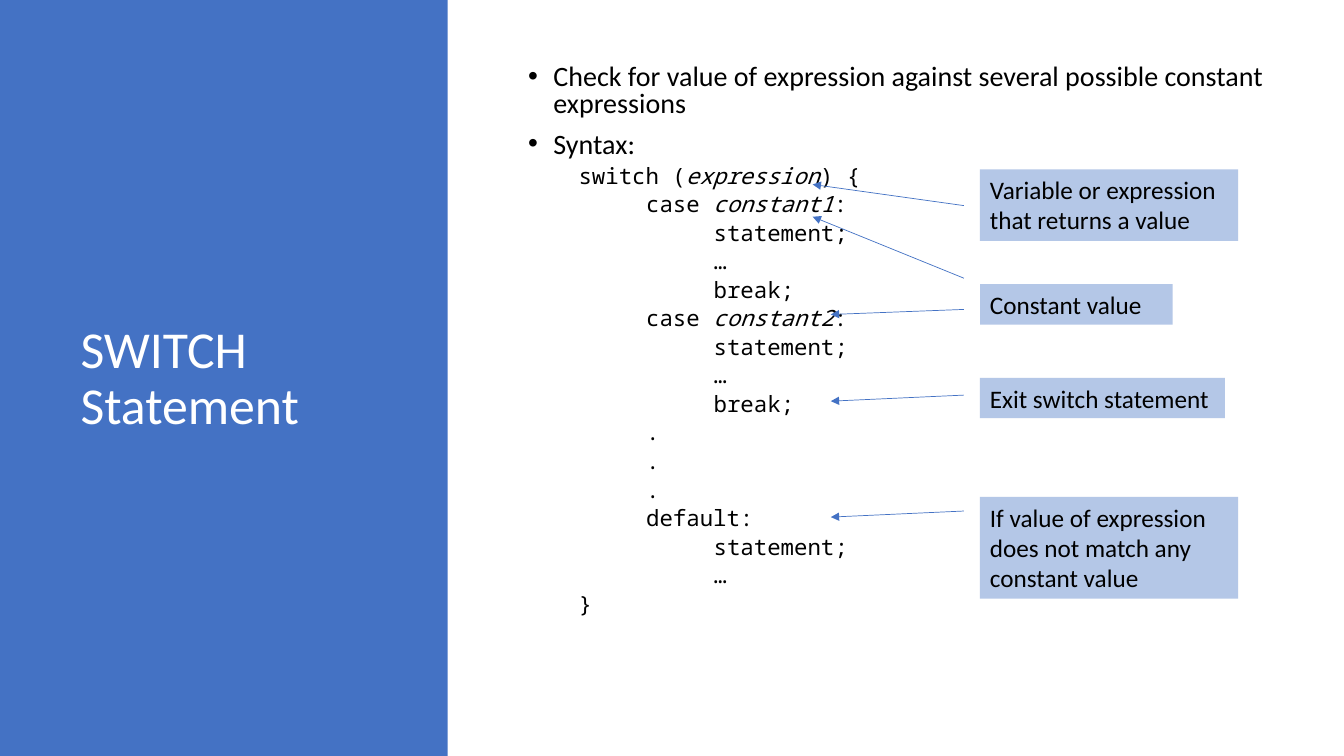
from pptx import Presentation
from pptx.dml.color import RGBColor
from pptx.enum.shapes import MSO_CONNECTOR, MSO_SHAPE
from pptx.enum.text import MSO_ANCHOR, PP_ALIGN
from pptx.oxml.ns import qn
from pptx.util import Inches, Pt
from lxml import etree

RECT = MSO_SHAPE.RECTANGLE
STRAIGHT = MSO_CONNECTOR.STRAIGHT
TOP, MIDDLE = MSO_ANCHOR.TOP, MSO_ANCHOR.MIDDLE
LEFT = PP_ALIGN.LEFT

BLUE = RGBColor(0x44, 0x72, 0xC4)
PALE_BLUE = RGBColor(0xB4, 0xC7, 0xE7)
BLACK = RGBColor(0, 0, 0)
WHITE = RGBColor(0xFF, 0xFF, 0xFF)


class SlideBuilder:
    body_font = "Calibri"
    code_font = "Noto Sans Mono"
    code_margin = 0.5
    code_indent = 0.67

    def __init__(self, slide):
        self.s = slide

    def run(self, p, text, size, color=BLACK, font=body_font, italic=False):
        r = p.add_run()
        r.text = text
        r.font.name = font
        r.font.size = Pt(size)
        r.font.color.rgb = color
        r.font.italic = italic

    def rect(self, x, y, w, h, fill):
        sp = self.s.shapes.add_shape(RECT, Inches(x), Inches(y), Inches(w), Inches(h))
        sp.shadow.inherit = False
        sp.fill.solid()
        sp.fill.fore_color.rgb = fill
        sp.line.fill.background()
        return sp

    def text_box(self, x, y, w, h, anchor):
        tf = self.s.shapes.add_textbox(Inches(x), Inches(y), Inches(w), Inches(h)).text_frame
        tf.word_wrap = True
        tf.vertical_anchor = anchor
        return tf

    def title(self, text, x, y, w, h):
        p = self.text_box(x, y, w, h, MIDDLE).paragraphs[0]
        p.line_spacing = 0.9
        self.run(p, text, 37, WHITE)

    def callout(self, text, x, y, w, h):
        tf = self.rect(x, y, w, h, PALE_BLUE).text_frame
        tf.word_wrap = True
        tf.vertical_anchor = TOP
        p = tf.paragraphs[0]
        p.alignment = LEFT
        self.run(p, text, 18)

    def bullet(self, p, text, before):
        p.line_spacing = 0.8
        p.space_before = Pt(before)
        pPr = p._p.get_or_add_pPr()
        pPr.set("marL", str(Inches(0.25)))
        pPr.set("indent", str(-Inches(0.25)))
        etree.SubElement(pPr, qn("a:buFont")).set("typeface", "Arial")
        etree.SubElement(pPr, qn("a:buChar")).set("char", "•")
        self.run(p, text, 20)

    def code_line(self, p, depth, parts):
        p.line_spacing = Pt(17.4)
        p.space_before = Pt(3)
        margin = Inches(self.code_margin + depth * self.code_indent)
        p._p.get_or_add_pPr().set("marL", str(margin))
        for i, text in enumerate(parts):
            self.run(p, text, 16, font=self.code_font, italic=i % 2 == 1)

    def arrow(self, x1, y1, x2, y2):
        c = self.s.shapes.add_connector(STRAIGHT, Inches(x1), Inches(y1), Inches(x2), Inches(y2))
        c.line.color.rgb = BLUE
        c.line.width = Pt(0.5)
        etree.SubElement(c.line._get_or_add_ln(), qn("a:tailEnd")).set("type", "triangle")
        etree.SubElement(c._element.spPr, qn("a:effectLst"))


BULLETS = [
    ("Check for value of expression against several possible constant expressions", 0),
    ("Syntax:", 10),
]


def case_block(constant):
    return [(1, ["case ", constant, ":"]), (2, ["statement;"]), (2, ["…"]), (2, ["break;"])]


CODE = [
    (0, ["switch (", "expression", ") {"]),
    *case_block("constant1"),
    *case_block("constant2"),
    *[(1, ["."])] * 3,
    (1, ["default:"]),
    (2, ["statement;"]),
    (2, ["…"]),
    (0, ["}"]),
]

CALLOUT_X = 9.72
CALLOUTS = [
    ("Variable or expression that returns a value", 1.68, 2.56, 0.71),
    ("Constant value", 2.82, 1.91, 0.4),
    ("Exit switch statement", 3.75, 2.43, 0.4),
    ("If value of expression does not match any constant value", 4.93, 2.56, 1.01),
]

ARROW_START_X = 9.56
ARROWS = [
    (2.04, 8.06, 1.83),
    (2.76, 8.06, 2.15),
    (3.07, 8.24, 3.12),
    (3.92, 8.24, 3.98),
    (5.07, 8.24, 5.13),
]

prs = Presentation()
prs.slide_width, prs.slide_height = Inches(13.33), Inches(7.5)
b = SlideBuilder(prs.slides.add_slide(prs.slide_layouts[6]))

b.rect(0, 0, 4.44, 7.5, BLUE)
b.title("SWITCH Statement", 0.7, 0.7, 3.39, 6.14)

tf = b.text_box(5.14, 0.6, 7.49, 5.96, TOP)
for i, (text, before) in enumerate(BULLETS):
    b.bullet(tf.add_paragraph() if i else tf.paragraphs[0], text, before)
for depth, parts in CODE:
    b.code_line(tf.add_paragraph(), depth, parts)

for text, y, w, h in CALLOUTS:
    b.callout(text, CALLOUT_X, y, w, h)
for y1, x2, y2 in ARROWS:
    b.arrow(ARROW_START_X, y1, x2, y2)

prs.save("out.pptx")
